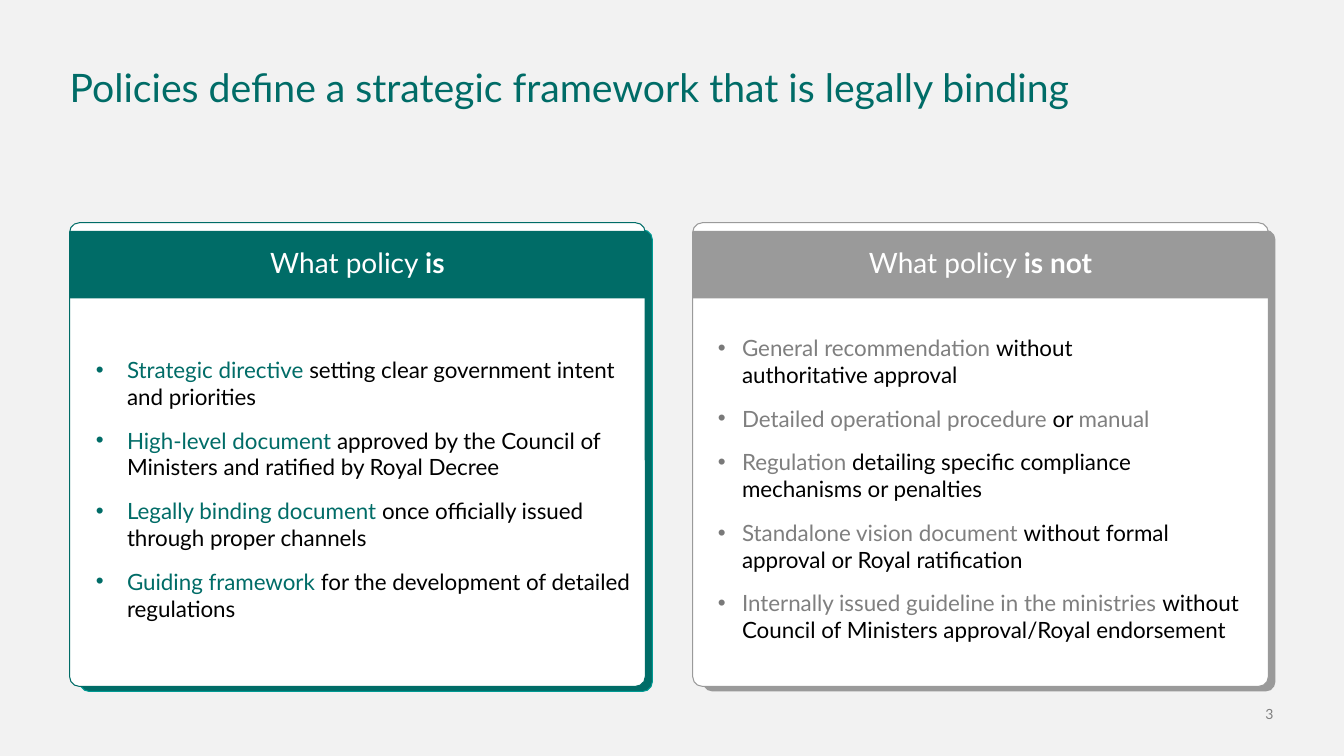
from lxml.etree import SubElement
from pptx import Presentation
from pptx.dml.color import RGBColor
from pptx.enum.shapes import MSO_SHAPE
from pptx.enum.text import MSO_ANCHOR, MSO_AUTO_SIZE, PP_ALIGN
from pptx.oxml.ns import qn
from pptx.util import Inches, Pt

FONT = "Lato"
BACKGROUND = RGBColor(0xF2, 0xF2, 0xF2)
TEAL = RGBColor(0x00, 0x6C, 0x67)
LIGHT_TEAL = RGBColor(0x00, 0x9A, 0x93)
GREY = RGBColor(0x9A, 0x9A, 0x9A)
TEXT_GREY = RGBColor(0x7F, 0x7F, 0x7F)
BULLET_GREY = RGBColor(0x79, 0x79, 0x79)
NUMBER_GREY = RGBColor(0x80, 0x80, 0x80)
WHITE = RGBColor(0xFF, 0xFF, 0xFF)
BLACK = RGBColor(0x00, 0x00, 0x00)

# Each point is a list of (text, highlighted) pieces
POLICY_IS = [
    [("Strategic directive ", True),
     ("setting clear government intent and priorities", False)],
    [("High-level document ", True),
     ("approved by the Council of Ministers and ratified by Royal Decree", False)],
    [("Legally binding document ", True),
     ("once officially issued through proper channels", False)],
    [("Guiding framework ", True),
     ("for the development of detailed regulations", False)],
]
POLICY_IS_NOT = [
    [("General recommendation ", True),
     ("without\nauthoritative approval", False)],
    [("Detailed operational procedure ", True), ("or ", False), ("manual", True)],
    [("Regulation", True),
     (" detailing specific compliance mechanisms or penalties", False)],
    [("Standalone vision document ", True),
     ("without formal approval or Royal ratification", False)],
    [("Internally issued guideline in the ministries ", True),
     ("without Council of Ministers approval/Royal endorsement", False)],
]


def place(shape, left, top, width, height):
    shape.left, shape.top = Inches(left), Inches(top)
    shape.width, shape.height = Inches(width), Inches(height)


def add_bullet(paragraph, color, indent, hanging):
    properties = paragraph._p.get_or_add_pPr()
    properties.set("marL", str(Inches(indent)))
    properties.set("indent", str(-Inches(hanging)))
    bullet_color = SubElement(properties, qn("a:buClr"))
    SubElement(bullet_color, qn("a:srgbClr"), val=str(color))
    SubElement(properties, qn("a:buFont"), typeface="Arial")
    SubElement(properties, qn("a:buChar"), char="•")


def write(shape, paragraphs, size, align=PP_ALIGN.LEFT, anchor=MSO_ANCHOR.MIDDLE,
          margin=0, line_spacing=1.0, space_after=0, bullet=None):
    """Fill a shape with paragraphs made of (text, color, bold) runs."""
    frame = shape.text_frame
    frame.word_wrap = True
    frame.auto_size = MSO_AUTO_SIZE.NONE
    frame.vertical_anchor = anchor
    frame.margin_left = frame.margin_right = Inches(margin)
    frame.margin_top = frame.margin_bottom = Inches(margin / 2)
    for index, runs in enumerate(paragraphs):
        paragraph = frame.add_paragraph() if index else frame.paragraphs[0]
        if bullet:
            add_bullet(paragraph, *bullet)
        paragraph.alignment = align
        paragraph.line_spacing = line_spacing
        paragraph.space_before = Pt(0)
        paragraph.space_after = Pt(space_after)
        for text, color, bold in runs:
            for number, line in enumerate(text.split("\n")):
                if number:
                    paragraph.add_line_break()
                run = paragraph.add_run()
                run.text = line
                run.font.name, run.font.size = FONT, Pt(size)
                run.font.bold = bold
                run.font.color.rgb = color


def add_block(slide, kind, box, fill, line=None):
    block = slide.shapes.add_shape(kind, *map(Inches, box))
    block.shadow.inherit = False
    block.fill.solid()
    block.fill.fore_color.rgb = fill
    if line is None:
        block.line.fill.background()
    else:
        block.line.color.rgb = line
        block.line.width = Pt(0.75)
    if kind == MSO_SHAPE.ROUNDED_RECTANGLE:
        block.adjustments[0] = 0.021
    return block


def add_title(slide, box, text):
    title = slide.shapes.title
    place(title, *box)
    write(title, [[(text, TEAL, False)]], 28, anchor=MSO_ANCHOR.TOP, line_spacing=0.9)


def add_card(slide, box, heading, points, body, color, highlight, bullet, edge=None):
    left, top, width, height = box
    # Offset backing and white face
    add_block(slide, MSO_SHAPE.ROUNDED_RECTANGLE,
              (left + 0.1, top + 0.07, width - 0.03, height - 0.02), color, edge)
    add_block(slide, MSO_SHAPE.ROUNDED_RECTANGLE, box, WHITE, color)
    # Heading band
    band = add_block(slide, MSO_SHAPE.RECTANGLE, (left, top + 0.08, width, 0.67), color)
    lead, stress = heading
    write(band, [[(lead, WHITE, False), (stress, WHITE, True)]], 20,
          align=PP_ALIGN.CENTER, margin=0.1, line_spacing=0.9)
    # Bulleted list, brought in front of the card
    place(body, left + 0.14, top + 0.92, width - 0.28, height - 1.16)
    slide.shapes._spTree.append(body._element)
    paragraphs = [[(text, highlight if marked else BLACK, False)
                   for text, marked in point] for point in points]
    write(body, paragraphs, 16, space_after=12, bullet=bullet)


def add_slide_number(slide, box, number):
    page = slide.shapes.add_textbox(*map(Inches, box))
    write(page, [[(number, NUMBER_GREY, False)]], 10,
          align=PP_ALIGN.RIGHT, anchor=MSO_ANCHOR.BOTTOM)


def main():
    prs = Presentation()
    prs.slide_width, prs.slide_height = Inches(13.33), Inches(7.5)
    slide = prs.slides.add_slide(prs.slide_layouts.get_by_name("Two Content"))
    slide.background.fill.solid()
    slide.background.fill.fore_color.rgb = BACKGROUND
    _, is_list, is_not_list = slide.placeholders

    add_title(slide, (0.69, 0.68, 11.96, 0.42),
              "Policies define a strategic framework that is legally binding")
    add_card(slide, (0.69, 2.21, 5.71, 4.6), ("What policy ", "is"), POLICY_IS,
             is_list, TEAL, TEAL, (TEAL, 0.43, 0.31), edge=LIGHT_TEAL)
    add_card(slide, (6.87, 2.21, 5.71, 4.6), ("What policy ", "is not"), POLICY_IS_NOT,
             is_not_list, GREY, TEXT_GREY, (BULLET_GREY, 0.35, 0.24))
    add_slide_number(slide, (12.21, 7, 0.42, 0.17), "3")
    prs.save("out.pptx")


if __name__ == "__main__":
    main()
